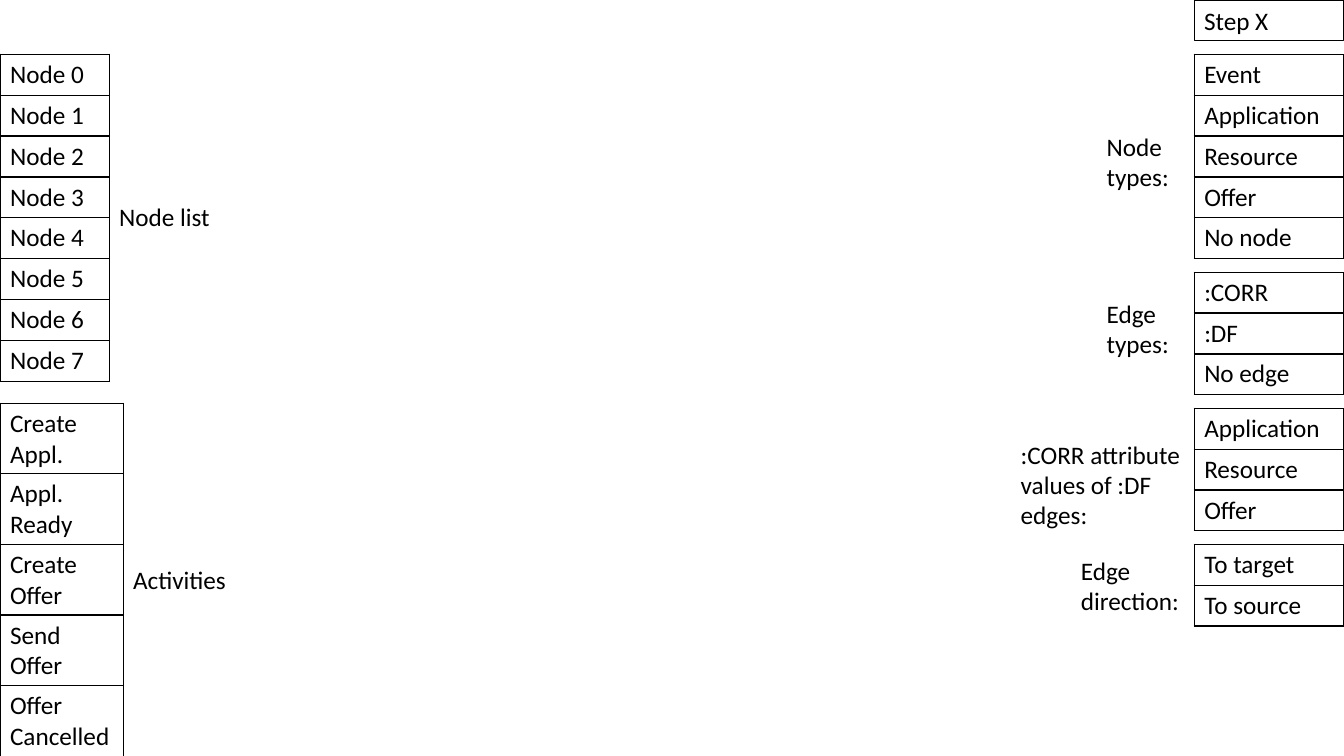
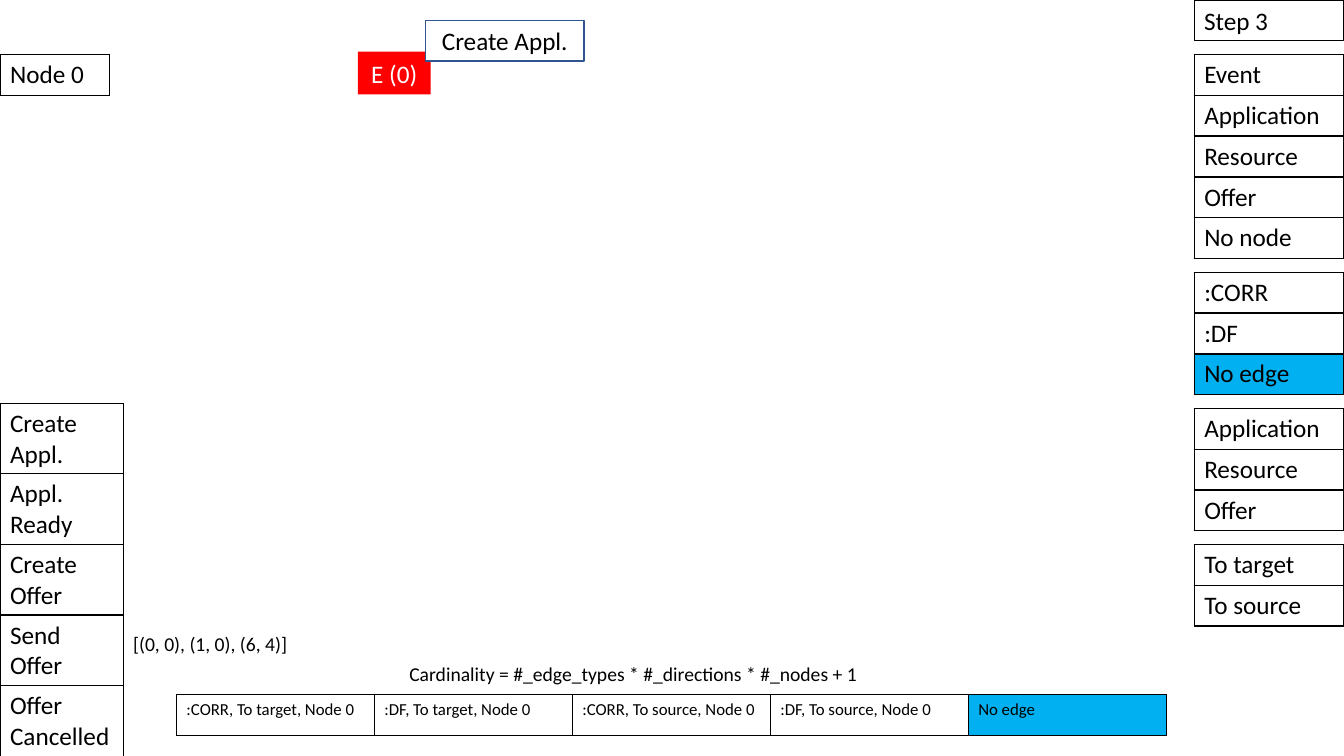
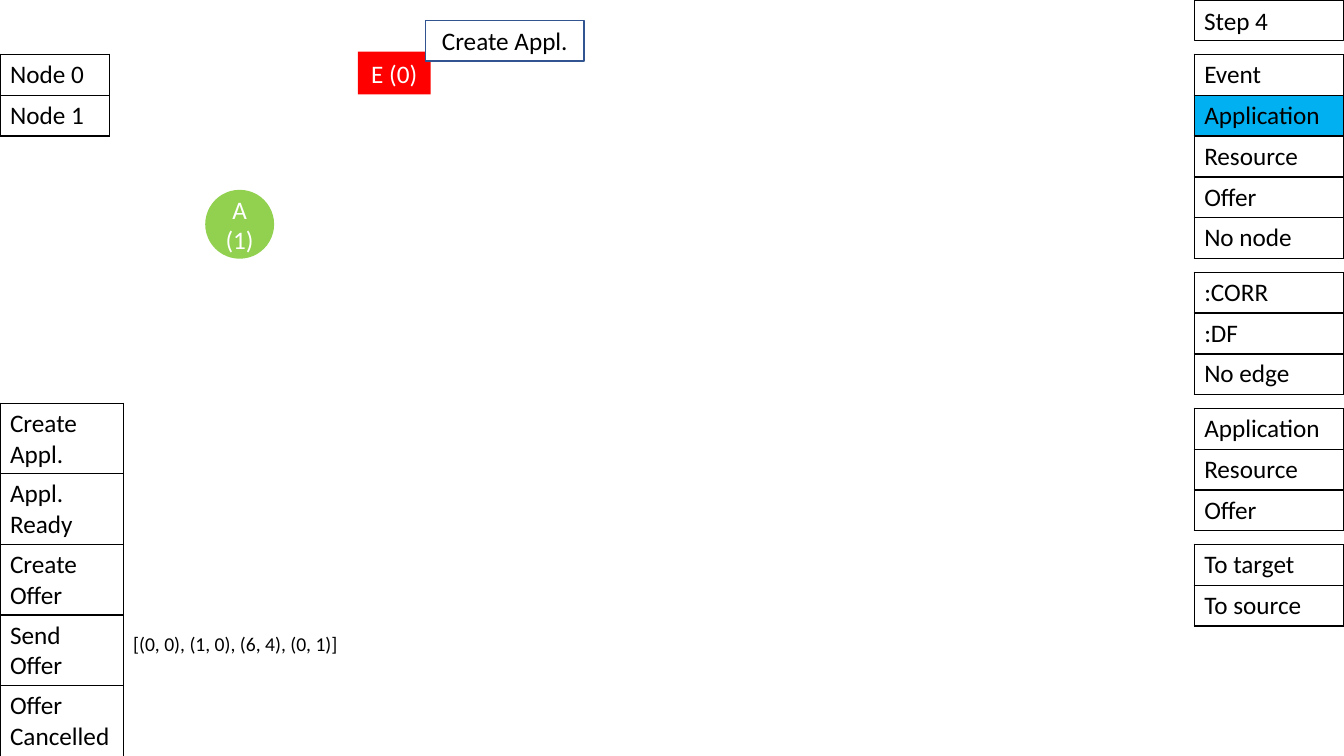
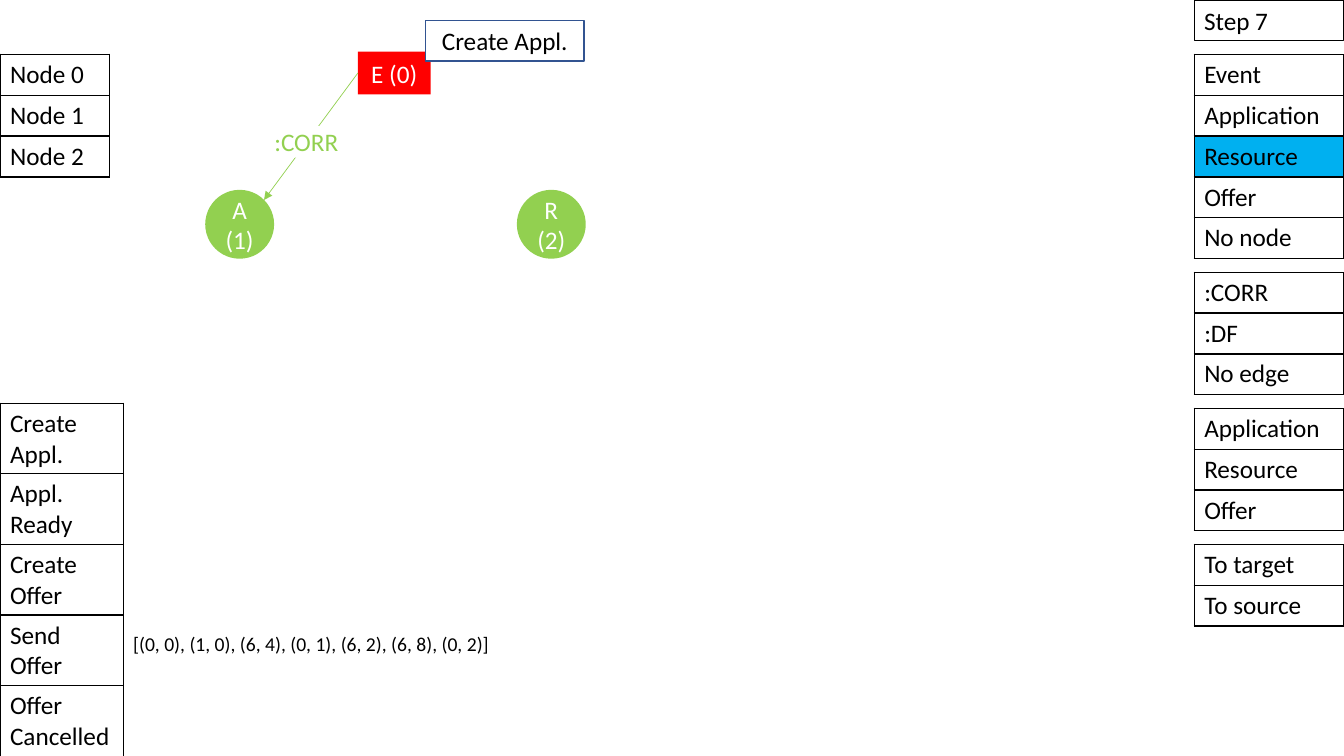
from math import cos, pi

from lxml.etree import SubElement
from pptx import Presentation
from pptx.dml.color import RGBColor
from pptx.enum.shapes import MSO_CONNECTOR, MSO_SHAPE
from pptx.enum.text import MSO_ANCHOR, MSO_AUTO_SIZE, PP_ALIGN
from pptx.oxml.ns import qn
from pptx.util import Pt

COLORS = {
    "black": "000000",
    "white": "FFFFFF",
    "selected": "00B0F0",
    "event": "FF0000",
    "entity": "92D050",
    "activity_line": "325491",
}
FONT = "Calibri"

# Shared grid
ROW = 29.2
TOP = 38.8
GAP = 9.6
CHOICE_LEFT, CHOICE_WIDTH = 853, 107
NODE_WIDTH = 78
ACTIVITY_TOP, ACTIVITY_WIDTH, ACTIVITY_ROW = 288, 88, 50.4

# Choices on the right: label, label box (left, top, width, height), values
CHOICES = [
    ("Node types:", (783.4, 90, 69.8, 51), ["Event", "Application", "Resource", "Offer", "No node"]),
    ("Edge types:", (783.4, 209.5, 69.8, 51), [":CORR", ":DF", "No edge"]),
    (":CORR attribute values of :DF edges:", (722, 310, 131, 72.7), ["Application", "Resource", "Offer"]),
    ("Edge direction:", (765, 393, 88, 51), ["To target", "To source"]),
]
ACTIVITIES = ["Create Appl.", "Appl. Ready", "Create Offer", "Send Offer", "Offer Cancelled"]

# Graph elements
EVENT_BOX = (255.6, 37, 52, 30.4)
ACTIVITY_BOX = (304, 14.6, 113.2, 29)
CIRCLE = 49.2
CIRCLE_TOP = 135.6
APPLICATION_LEFT, RESOURCE_LEFT = 146.6, 369.2


def color(name):
    return RGBColor.from_string(COLORS[name])


def style_text(text_frame, text, size=18, font_color="black", align=PP_ALIGN.LEFT):
    text_frame.text = text
    text_frame.word_wrap = True
    paragraph = text_frame.paragraphs[0]
    paragraph.alignment = align
    paragraph.font.name = FONT
    paragraph.font.size = Pt(size)
    paragraph.font.color.rgb = color(font_color)


def add_label(slide, text, box, size=18, align=PP_ALIGN.LEFT):
    shape = slide.shapes.add_textbox(*map(Pt, box))
    style_text(shape.text_frame, text, size, align=align)
    shape.text_frame.auto_size = MSO_AUTO_SIZE.SHAPE_TO_FIT_TEXT
    return shape


def add_box(slide, text, box, fill, font_color="white", line=None, kind=MSO_SHAPE.RECTANGLE):
    shape = slide.shapes.add_shape(kind, *map(Pt, box))
    shape.shadow.inherit = False
    shape.fill.solid()
    shape.fill.fore_color.rgb = color(fill)
    if line:
        shape.line.color.rgb = color(line)
        shape.line.width = Pt(1)
    else:
        shape.line.fill.background()
    style_text(shape.text_frame, text, font_color=font_color, align=PP_ALIGN.CENTER)
    shape.text_frame.vertical_anchor = MSO_ANCHOR.MIDDLE
    return shape


def add_borders(cell):
    properties = cell._tc.get_or_add_tcPr()
    for position, side in enumerate(("lnL", "lnR", "lnT", "lnB")):
        line = SubElement(properties, qn(f"a:{side}"), w=str(Pt(1)))
        fill = SubElement(line, qn("a:solidFill"))
        SubElement(fill, qn("a:srgbClr"), val=COLORS["black"])
        properties.insert(position, line)


def add_grid(slide, rows, left, top, column_width, row_height=ROW, size=18, selected=None):
    """Draw a plain bordered table; the cell with the selected text is filled."""
    columns = len(rows[0])
    frame = slide.shapes.add_table(len(rows), columns, Pt(left), Pt(top),
                                   Pt(column_width * columns), Pt(row_height * len(rows)))
    table = frame.table
    table.first_row = table.horz_banding = False
    for column in table.columns:
        column.width = Pt(column_width)
    for row, texts in zip(table.rows, rows):
        row.height = Pt(row_height)
        for cell, text in zip(row.cells, texts):
            style_text(cell.text_frame, text, size)
            if text == selected:
                cell.fill.solid()
                cell.fill.fore_color.rgb = color("selected")
            else:
                cell.fill.background()
            add_borders(cell)


def add_list(slide, values, *place, **options):
    add_grid(slide, [[value] for value in values], *place, **options)


def add_frame(presentation, step, node_count, selected=(None, None)):
    """Add a slide with the step box, choices, nodes and activities.

    selected is a pair: the index of a choice list and its chosen value.
    """
    slide = presentation.slides.add_slide(presentation.slide_layouts[6])
    step_box = add_label(slide, f"Step {step}", (CHOICE_LEFT, 0, CHOICE_WIDTH, 29))
    step_box.line.color.rgb = color("black")
    step_box.line.width = Pt(0.75)

    top = TOP
    for index, (_, _, values) in enumerate(CHOICES):
        chosen = selected[1] if index == selected[0] else None
        add_list(slide, values, CHOICE_LEFT, top, CHOICE_WIDTH, selected=chosen)
        top += len(values) * ROW + GAP

    add_list(slide, [f"Node {number}" for number in range(node_count)], 0, TOP, NODE_WIDTH)
    add_list(slide, ACTIVITIES, 0, ACTIVITY_TOP, ACTIVITY_WIDTH, row_height=ACTIVITY_ROW)
    return slide


def add_sequence(slide, text):
    add_label(slide, text, (ACTIVITY_WIDTH, 448, 872, 24.2), size=14)


def add_event(slide):
    event = add_box(slide, "E (0)", EVENT_BOX, "event")
    add_box(slide, "Create Appl.", ACTIVITY_BOX, "white", "black", line="activity_line")
    return event


def add_entity(slide, text, left):
    return add_box(slide, text, (left, CIRCLE_TOP, CIRCLE, CIRCLE), "entity", kind=MSO_SHAPE.OVAL)


def add_correlation(slide, event):
    """Draw the arrow from the event's left side to the upper right of the application."""
    radius = CIRCLE / 2
    reach = radius * cos(pi / 4)
    end_x = APPLICATION_LEFT + radius + reach
    end_y = CIRCLE_TOP + radius - reach
    connector = slide.shapes.add_connector(MSO_CONNECTOR.STRAIGHT, 0, 0, Pt(end_x), Pt(end_y))
    connector.begin_connect(event, 1)
    connector.line.color.rgb = color("entity")
    connector.line.width = Pt(0.5)
    SubElement(connector.line._get_or_add_ln(), qn("a:tailEnd"), type="triangle")
    SubElement(connector._element.spPr, qn("a:effectLst"))
    add_box(slide, ":CORR", (188.6, 90.2, 60.4, 22.4), "white", "entity")


def main():
    presentation = Presentation()
    presentation.slide_width, presentation.slide_height = Pt(960), Pt(540)

    # Legend
    slide = add_frame(presentation, "X", 8)
    for label, box, _ in CHOICES:
        add_label(slide, label, box)
    add_label(slide, "Node list", (NODE_WIDTH, 140.6, 88, 29))
    add_label(slide, "Activities", (ACTIVITY_WIDTH, 399.6, 88, 29))

    # Step 3: choose an edge
    slide = add_frame(presentation, 3, 1, (1, "No edge"))
    add_event(slide)
    add_sequence(slide, "[(0, 0), (1, 0), (6, 4)]")
    edges = [f"{edge}, {direction}, Node 0"
             for direction in ("To target", "To source") for edge in (":CORR", ":DF")]
    add_grid(slide, [edges + ["No edge"]], 126, 496, 141.4, size=12, selected="No edge")
    add_label(slide, "Cardinality = #_edge_types * #_directions * #_nodes + 1",
              (281, 469.4, 343, 24.2), size=14, align=PP_ALIGN.CENTER)

    # Step 4: add the application node
    slide = add_frame(presentation, 4, 2, (0, "Application"))
    add_event(slide)
    add_entity(slide, "A (1)", APPLICATION_LEFT)
    add_sequence(slide, "[(0, 0), (1, 0), (6, 4), (0, 1)]")

    # Step 7: add the resource node
    slide = add_frame(presentation, 7, 3, (0, "Resource"))
    event = add_event(slide)
    add_entity(slide, "A (1)", APPLICATION_LEFT)
    add_correlation(slide, event)
    add_entity(slide, "R (2)", RESOURCE_LEFT)
    add_sequence(slide, "[(0, 0), (1, 0), (6, 4), (0, 1), (6, 2), (6, 8), (0, 2)]")

    presentation.save("out.pptx")


if __name__ == "__main__":
    main()
